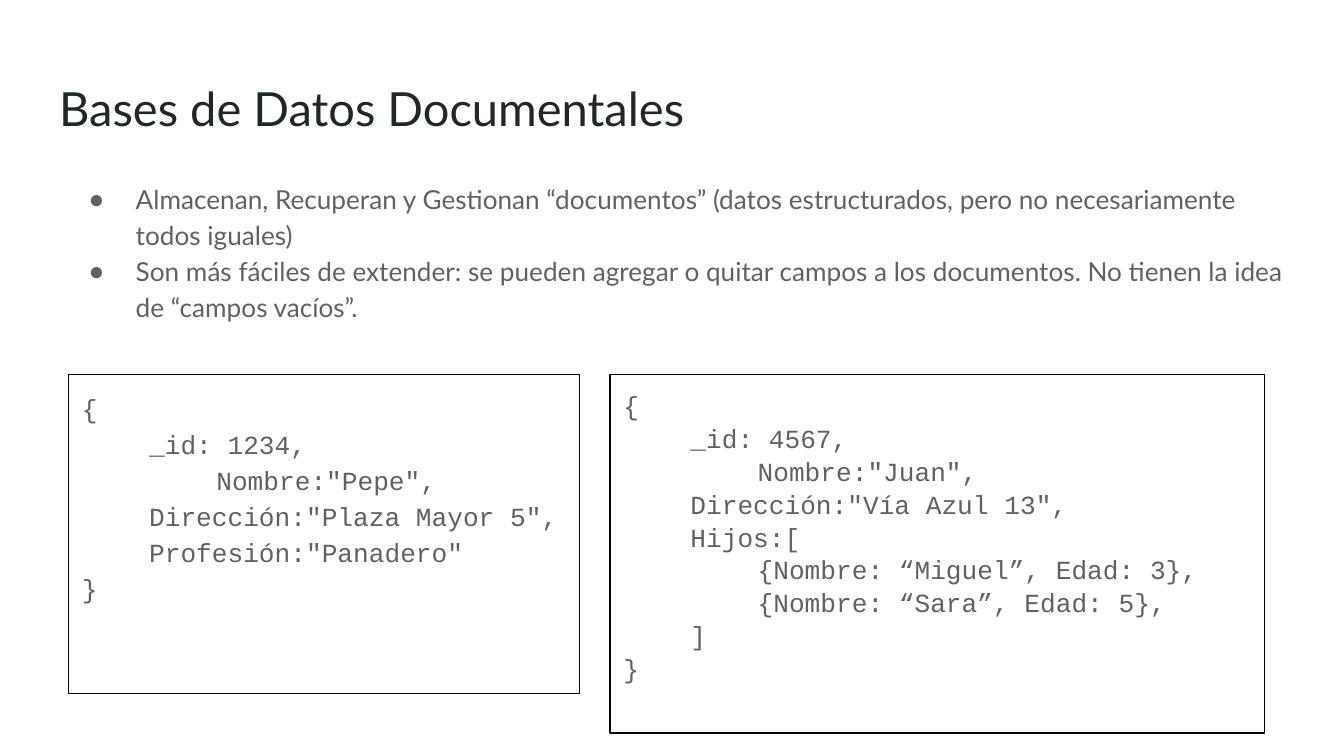
"""Build the slide about document databases."""
from dataclasses import dataclass

from lxml import etree
from pptx import Presentation
from pptx import util as u
from pptx.dml.color import RGBColor
from pptx.enum import text
from pptx.oxml.ns import qn


@dataclass(frozen=True)
class Theme:
    """Colours, fonts and type sizes of the slide."""
    title_color: str = "202729"
    body_color: str = "616161"
    line_color: str = "000000"
    text_font: str = "Lato"
    code_font: str = "Courier New"
    title_size: float = 25.2
    body_size: float = 14
    inset: float = 7.2
    indent: float = 36


class SlideBuilder:
    """Fills and formats the placeholders of one slide."""

    def __init__(self, slide, theme):
        """Keep the slide and its theme."""
        self.slide = slide
        self.theme = theme

    def fill(self, index, box, lines, font, size, color, spacing=1.0):
        """Place a placeholder, write its paragraphs and return it."""
        shape = self.slide.placeholders[index]
        shape.left, shape.top, shape.width, shape.height = map(u.Pt, box)
        frame = shape.text_frame
        frame.word_wrap = True
        frame.auto_size = text.MSO_AUTO_SIZE.NONE
        frame.vertical_anchor = text.MSO_ANCHOR.TOP
        inset = u.Pt(self.theme.inset)
        frame.margin_left = frame.margin_right = inset
        frame.margin_top = frame.margin_bottom = inset
        for number, line in enumerate(lines):
            paragraph = frame.paragraphs[0] if number == 0 else frame.add_paragraph()
            paragraph.text = line
            paragraph.alignment = text.PP_ALIGN.LEFT
            paragraph.line_spacing = spacing
            paragraph.space_before = paragraph.space_after = u.Pt(0)
        for paragraph in frame.paragraphs:
            self.format_paragraph(paragraph, index, font, size, color)
        return shape

    def format_paragraph(self, paragraph, index, font, size, color):
        """Set bullets or tab stops by placeholder, then the font."""
        properties = paragraph._p.get_or_add_pPr()
        indent = self.theme.indent
        if index == LIST:
            properties.set("marL", str(u.Pt(indent)))
            properties.set("indent", str(u.Pt(-25.2)))
            bullet_color = etree.SubElement(properties, qn("a:buClr"))
            etree.SubElement(bullet_color, qn("a:srgbClr"), val=color)
            etree.SubElement(properties, qn("a:buChar"), char="●")
        elif index in (LEFT_CODE, RIGHT_CODE):
            indented = not paragraph.text.startswith(("{", "}"))
            properties.set("marL", "0")
            properties.set("indent", str(u.Pt(indent if indented else 0)))
            properties.set("defTabSz", str(u.Pt(2 * indent)))
            etree.SubElement(properties, qn("a:buNone"))
            tabs = etree.SubElement(properties, qn("a:tabLst"))
            etree.SubElement(tabs, qn("a:tab"), pos=str(u.Pt(2 * indent)), algn="l")
        paragraph.font.name = font
        paragraph.font.size = u.Pt(size)
        paragraph.font.bold = False
        paragraph.font.color.rgb = RGBColor.from_string(color)

    def title(self, box, line):
        """Write the slide title."""
        theme = self.theme
        self.fill(TITLE, box, [line], theme.text_font, theme.title_size, theme.title_color)

    def bullets(self, box, lines):
        """Write the bulleted list."""
        theme = self.theme
        self.fill(LIST, box, lines, theme.text_font, theme.body_size, theme.body_color, 1.15)

    def code(self, index, box, lines, spacing):
        """Write an outlined code box."""
        theme = self.theme
        shape = self.fill(index, box, lines, theme.code_font, theme.body_size,
                          theme.body_color, spacing)
        shape.line.color.rgb = RGBColor.from_string(theme.line_color)
        shape.line.width = u.Pt(0.75)

    def remove(self, index):
        """Delete an unused placeholder."""
        element = self.slide.placeholders[index]._element
        element.getparent().remove(element)


TITLE, LEFT_CODE, LIST, RIGHT_CODE, UNUSED = range(5)
COMPARISON_LAYOUT = 4


def main():
    """Create and save the presentation."""
    presentation = Presentation()
    presentation.slide_width, presentation.slide_height = u.Pt(720), u.Pt(405)
    layout = presentation.slide_layouts[COMPARISON_LAYOUT]
    builder = SlideBuilder(presentation.slides.add_slide(layout), Theme())
    builder.code(LEFT_CODE, (36.7, 200.5, 273.6, 171.2), [
        "{",
        "_id: 1234,\n\tNombre:\"Pepe\",",
        "Dirección:\"Plaza Mayor 5\",",
        "Profesión:\"Panadero\"",
        "}",
    ], 1.15)
    builder.title((24.5, 35.3, 671, 45.4), "Bases de Datos Documentales")
    builder.code(RIGHT_CODE, (326.7, 200.5, 350.8, 192.3), [
        "{",
        "_id: 4567,\n\tNombre:\"Juan\",",
        "Dirección:\"Vía Azul 13\",",
        "Hijos:[",
        "\t{Nombre: “Miguel”, Edad: 3},",
        "\t{Nombre: “Sara”, Edad: 5},",
        "]",
        "}",
    ], 1.05)
    builder.bullets((29.5, 88.6, 671, 103), [
        "Almacenan, Recuperan y Gestionan “documentos” (datos estructurados, "
        "pero no necesariamente todos iguales)",
        "Son más fáciles de extender: se pueden agregar o quitar campos a los "
        "documentos. No tienen la idea de “campos vacíos”.",
    ])
    builder.remove(UNUSED)
    presentation.save("out.pptx")


if __name__ == "__main__":
    main()
